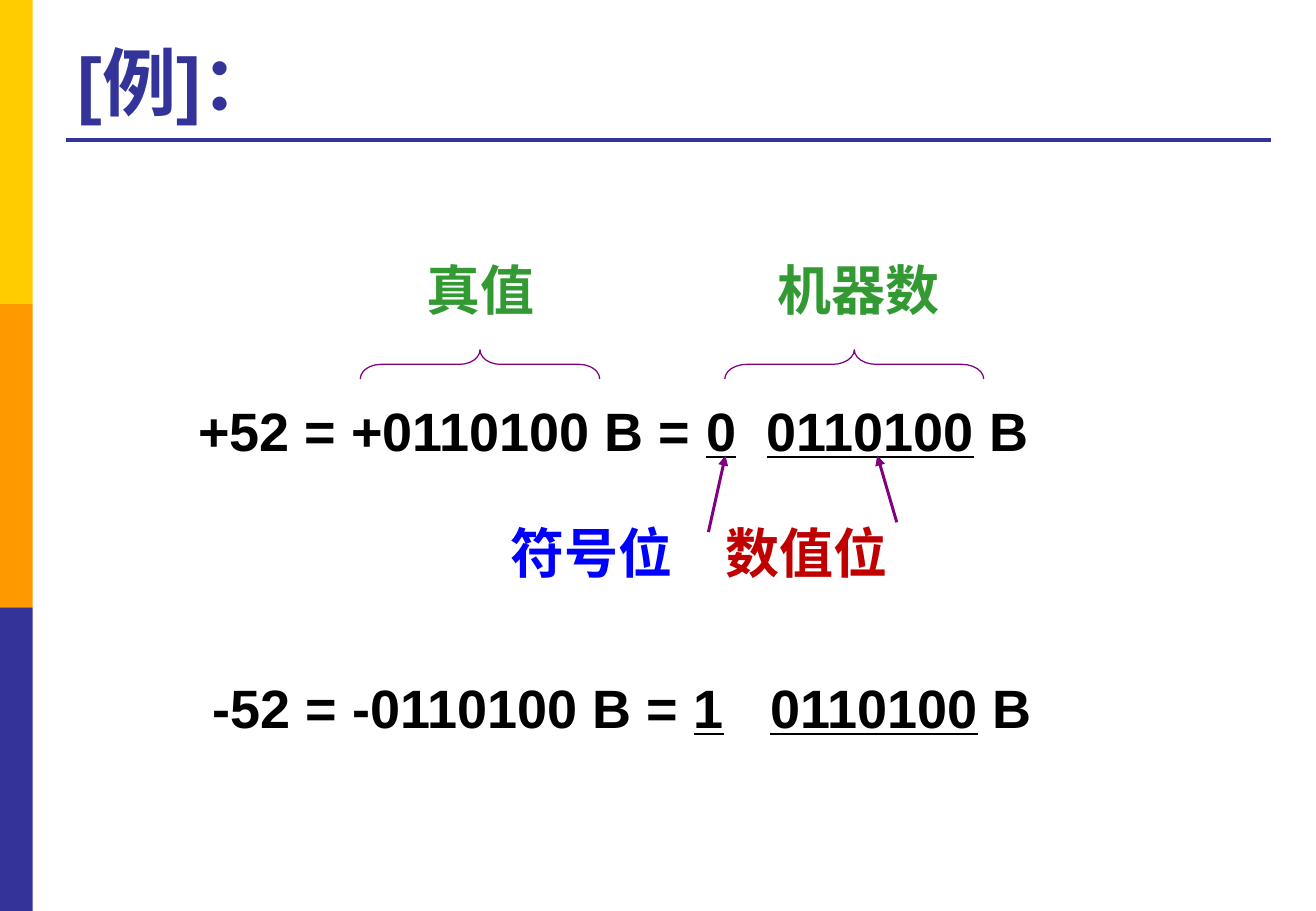
import pptx
import pptx.util
import pptx.dml.color
import pptx.enum.shapes
import pptx.enum.text
import pptx.oxml.ns
from lxml import etree

Inches = pptx.util.Inches
Pt = pptx.util.Pt
SHAPE = pptx.enum.shapes.MSO_SHAPE
qn = pptx.oxml.ns.qn

NAVY, PURPLE, GREEN = "333399", "800080", "339933"
BLACK, BLUE, RED = "000000", "0000FF", "C00000"


def color(code):
    return pptx.dml.color.RGBColor.from_string(code)


class Board:
    latin = "Arial"
    asian = "Noto Sans CJK SC"

    def __init__(self, slide):
        self.slide = slide
        self.shapes = slide.shapes

    def run(self, para, text, size, code, under=False):
        run = para.add_run()
        run.text = text
        font = run.font
        font.name, font.size, font.bold = self.latin, Pt(size), True
        font.underline = under
        font.color.rgb = color(code)
        etree.SubElement(run._r.rPr, qn("a:ea")).set("typeface", self.asian)

    def title(self, text, left, top, width, height):
        head = self.shapes.title
        head.left, head.top = Inches(left), Inches(top)
        head.width, head.height = Inches(width), Inches(height)
        frame = head.text_frame
        frame.auto_size = pptx.enum.text.MSO_AUTO_SIZE.NONE
        frame.vertical_anchor = pptx.enum.text.MSO_ANCHOR.BOTTOM
        para = frame.paragraphs[0]
        para.alignment = pptx.enum.text.PP_ALIGN.LEFT
        self.run(para, text, 44, NAVY)

    def text(self, left, top, width, parts, code, tab=None):
        """Add one line of (text, underlined) parts, with an optional tab stop."""
        box = self.shapes.add_textbox(
            Inches(left), Inches(top), Inches(width), Inches(0.6))
        frame = box.text_frame
        frame.word_wrap = True
        frame.margin_left = frame.margin_right = 0
        frame.margin_top = frame.margin_bottom = 0
        para = frame.paragraphs[0]
        if tab:
            stops = etree.SubElement(para._p.get_or_add_pPr(), qn("a:tabLst"))
            stop = etree.SubElement(stops, qn("a:tab"))
            stop.set("pos", str(Inches(tab)))
            stop.set("algn", "l")
        for text, under in parts:
            self.run(para, text, 32, code, under)

    def bar(self, left, top, width, height, code):
        bar = self.shapes.add_shape(
            SHAPE.RECTANGLE, Inches(left), Inches(top),
            Inches(width), Inches(height))
        bar.shadow.inherit = False
        bar.fill.solid()
        bar.fill.fore_color.rgb = color(code)
        bar.line.fill.background()

    def brace(self, mid, width, bend):
        """Add a brace that points up, centred on mid."""
        deep, level = 0.24, 3
        brace = self.shapes.add_shape(
            SHAPE.LEFT_BRACE, Inches(mid - deep / 2), Inches(level - width / 2),
            Inches(deep), Inches(width))
        brace.rotation = 90
        brace.adjustments[0] = bend
        brace.shadow.inherit = False
        brace.fill.background()
        brace.line.color.rgb = color(PURPLE)
        brace.line.width = Pt(0.75)

    def line(self, start, end, code, width, arrow=False):
        line = self.shapes.add_connector(
            pptx.enum.shapes.MSO_CONNECTOR.STRAIGHT,
            *(Inches(n) for n in start + end))
        line.line.color.rgb = color(code)
        line.line.width = Pt(width)
        if arrow:
            tail = etree.SubElement(line.line._get_or_add_ln(), qn("a:tailEnd"))
            tail.set("type", "triangle")
        etree.SubElement(line._element.spPr, qn("a:effectLst"))


def main():
    deck = pptx.Presentation()
    deck.slide_width, deck.slide_height = Inches(10.83), Inches(7.5)
    board = Board(deck.slides.add_slide(deck.slide_layouts[5]))

    for row, code in enumerate(("FFCC00", "FF9900", NAVY)):
        board.bar(0, 2.5 * row, 0.27, 2.5, code)
    board.line((0.54, 1.15), (10.46, 1.15), NAVY, 2.25)
    board.title("[例]：", 0.54, 0.21, 9.91, 0.87)

    sums = (
        (1.63, 3.27, "+52 = +0110100 B = ", "0", 4.68),
        (1.75, 5.55, "-52 = -0110100 B = ", "1", 4.59),
    )
    for left, top, value, sign, tab in sums:
        parts = ((value, False), (sign, True), ("\t", False),
                 ("0110100", True), (" B", False))
        board.text(left, top, 7.5, parts, BLACK, tab)

    labels = (
        ("真值", 3.51, 2.11, GREEN),
        ("机器数", 6.4, 2.11, GREEN),
        ("符号位", 4.2, 4.28, BLUE),
        ("数值位", 5.97, 4.28, RED),
    )
    for word, left, top, code in labels:
        board.text(left, top, 1.6, ((word, False),), code)

    board.brace(3.95, 1.97, 0.7)
    board.brace(7.03, 2.13, 0.75)
    board.line((5.83, 4.38), (5.97, 3.75), PURPLE, 1.75, arrow=True)
    board.line((7.38, 4.3), (7.22, 3.75), PURPLE, 1.75, arrow=True)

    deck.save("out.pptx")


if __name__ == "__main__":
    main()
